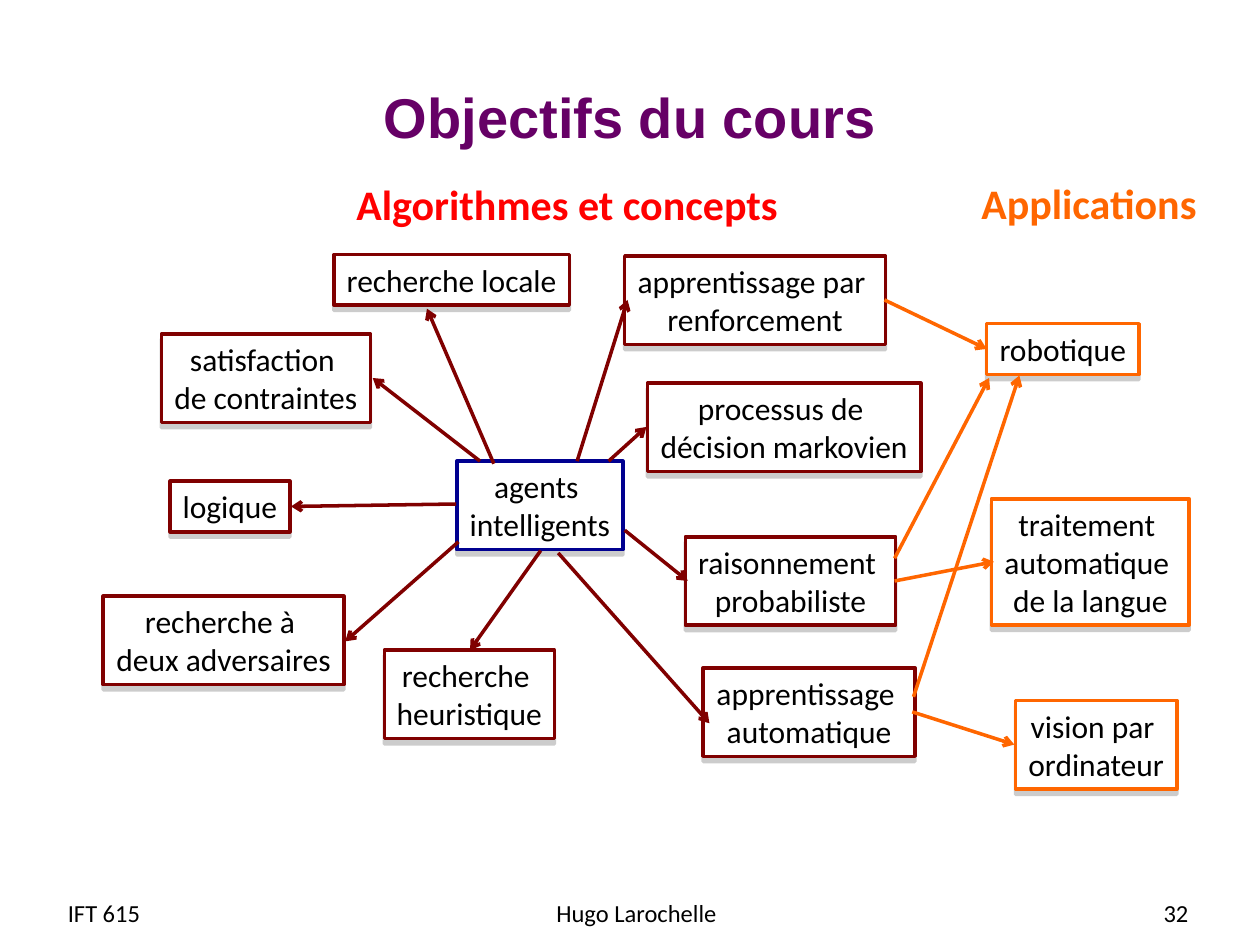
from lxml.etree import SubElement
from pptx import Presentation
from pptx.dml.color import RGBColor
from pptx.enum.shapes import MSO_CONNECTOR, MSO_SHAPE
from pptx.enum.text import MSO_ANCHOR, MSO_AUTO_SIZE, PP_ALIGN
from pptx.oxml import parse_xml
from pptx.oxml.ns import nsdecls, qn
from pptx.util import Pt

BLACK = RGBColor(0x00, 0x00, 0x00)
WHITE = RGBColor(0xFF, 0xFF, 0xFF)
PURPLE = RGBColor(0x66, 0x00, 0x66)
NAVY = RGBColor(0x00, 0x00, 0x90)
MAROON = RGBColor(0x80, 0x00, 0x00)
RED = RGBColor(0xFF, 0x00, 0x00)
ORANGE = RGBColor(0xFF, 0x66, 0x00)

LINE_WIDTH = Pt(2)
# Box height by number of text lines
BOX_HEIGHTS = {1: 29, 2: 50.6, 3: 72.2}

# Each topic: text, (left, top, width), arrows as (x1, y1, x2, y2), in its region
CONCEPTS = [
    ("recherche \nheuristique", (165.6, 273.5, 97.2), [(255, 216.6, 214.6, 273.5)]),
    ("recherche locale", (136.8, 47.4, 134.6), [(228.2, 167, 190, 78.4)]),
    ("recherche à \ndeux adversaires", (5, 242.6, 137.5), [(208, 211.6, 143.3, 268.5)]),
    ("satisfaction \nde contraintes", (38.2, 92.8, 119.5), [(220.3, 165.5, 159, 118)]),
    ("logique", (43.2, 177, 68.4), [(206.6, 190, 112.3, 191.4)]),
    ("raisonnement \nprobabiliste", (337.7, 208.7, 120.2), [(303, 205, 339, 234)]),
    ("processus de \ndécision markovien", (316, 120.9, 156.2),
     [(293.8, 165.5, 315.4, 146)]),
    ("apprentissage \nautomatique", (347.8, 283.6, 121), [(265, 218, 351.4, 315.3)]),
    ("apprentissage par \nrenforcement", (303, 48.2, 149),
     [(275.8, 165.5, 304.6, 73.4)]),
]
APPLICATIONS = [
    ("traitement \vautomatique \nde la langue", (62.6, 187, 113),
     [(7.2, 234, 64, 223)]),
    ("vision par \nordinateur", (76.3, 302.3, 92.2), [(17.3, 308.8, 75.6, 327.5)]),
    ("robotique", (59.8, 87, 87),
     [(18, 300.2, 78.5, 116.6), (7.2, 221, 61.2, 118), (1.4, 73.4, 59.8, 101.4)]),
]


def write(frame, text, size, color, align=PP_ALIGN.LEFT, bold=False, font="Calibri"):
    frame.text = text
    for paragraph in frame.paragraphs:
        paragraph.alignment = align
        paragraph.font.name = font
        paragraph.font.size = Pt(size)
        paragraph.font.bold = bold
        paragraph.font.color.rgb = color


def fit_to_text(frame):
    frame.word_wrap = False
    frame.auto_size = MSO_AUTO_SIZE.SHAPE_TO_FIT_TEXT
    frame.vertical_anchor = MSO_ANCHOR.TOP


def add_topic(slide, text, left, top, width, color):
    height = BOX_HEIGHTS[1 + text.count("\n") + text.count("\v")]
    topic = slide.shapes.add_shape(
        MSO_SHAPE.RECTANGLE, Pt(left), Pt(top), Pt(width), Pt(height))
    topic.fill.solid()
    topic.fill.fore_color.rgb = WHITE
    topic.line.color.rgb = color
    topic.line.width = LINE_WIDTH
    # Soft grey shadow straight below the box
    topic.element.spPr.append(parse_xml(
        f'<a:effectLst {nsdecls("a")}>'
        f'<a:outerShdw dist="{Pt(3)}" dir="5400000" rotWithShape="0">'
        '<a:srgbClr val="808080"><a:alpha val="40000"/></a:srgbClr>'
        '</a:outerShdw></a:effectLst>'))
    fit_to_text(topic.text_frame)
    write(topic.text_frame, text, 18, BLACK, PP_ALIGN.CENTER)


def add_arrow(slide, x1, y1, x2, y2, color):
    arrow = slide.shapes.add_connector(
        MSO_CONNECTOR.STRAIGHT, Pt(x1), Pt(y1), Pt(x2), Pt(y2))
    arrow.line.color.rgb = color
    arrow.line.width = LINE_WIDTH
    SubElement(arrow.line._get_or_add_ln(), qn("a:tailEnd"), type="arrow")
    SubElement(arrow.element.spPr, qn("a:effectLst"))


def add_heading(slide, text, left, top, width, color):
    heading = slide.shapes.add_textbox(Pt(left), Pt(top), Pt(width), Pt(36))
    fit_to_text(heading.text_frame)
    write(heading.text_frame, text, 24, color, bold=True)


def add_topics(slide, topics, left, top, color):
    for text, (x, y, width), arrows in topics:
        add_topic(slide, text, left + x, top + y, width, color)
        for x1, y1, x2, y2 in arrows:
            add_arrow(slide, left + x1, top + y1, left + x2, top + y2, color)


def add_title(slide, left, top, width, height):
    title = slide.shapes.title
    title.left, title.top, title.width, title.height = map(
        Pt, (left, top, width, height))
    title.text_frame.vertical_anchor = MSO_ANCHOR.MIDDLE
    write(title.text_frame, "Objectifs du cours", 32, PURPLE, PP_ALIGN.CENTER,
          bold=True, font="Arial")


def add_concepts(slide, left, top):
    add_heading(slide, "Algorithmes et concepts", left + 142.6, top + 0.6, 255.6, RED)
    add_topic(slide, "agents \nintelligents", left + 207, top + 165.5, 95, NAVY)
    add_topics(slide, CONCEPTS, left, top, MAROON)


def add_applications(slide, left, top):
    add_heading(slide, "Applications", left + 49.7, top, 137.5, ORANGE)
    add_topics(slide, APPLICATIONS, left, top, ORANGE)


def add_footer(slide, left, top, height):
    for text, x, width, align in [
        ("IFT 615", 0, 139, PP_ALIGN.LEFT),
        ("Hugo Larochelle", 218, 228, PP_ALIGN.CENTER),
        ("32", 486.7, 167.8, PP_ALIGN.RIGHT),
    ]:
        entry = slide.shapes.add_textbox(Pt(left + x), Pt(top), Pt(width), Pt(height))
        entry.text_frame.word_wrap = True
        entry.text_frame.vertical_anchor = MSO_ANCHOR.MIDDLE
        write(entry.text_frame, text, 14, BLACK, align)


def main():
    presentation = Presentation()
    presentation.slide_width, presentation.slide_height = Pt(720), Pt(540)
    slide = presentation.slides.add_slide(presentation.slide_layouts[5])
    add_title(slide, 36, 21.6, 648, 90)
    add_footer(slide, 31.7, 507, 28.8)
    add_concepts(slide, 54, 98)
    add_applications(slide, 504, 98)
    presentation.save("out.pptx")


if __name__ == "__main__":
    main()
